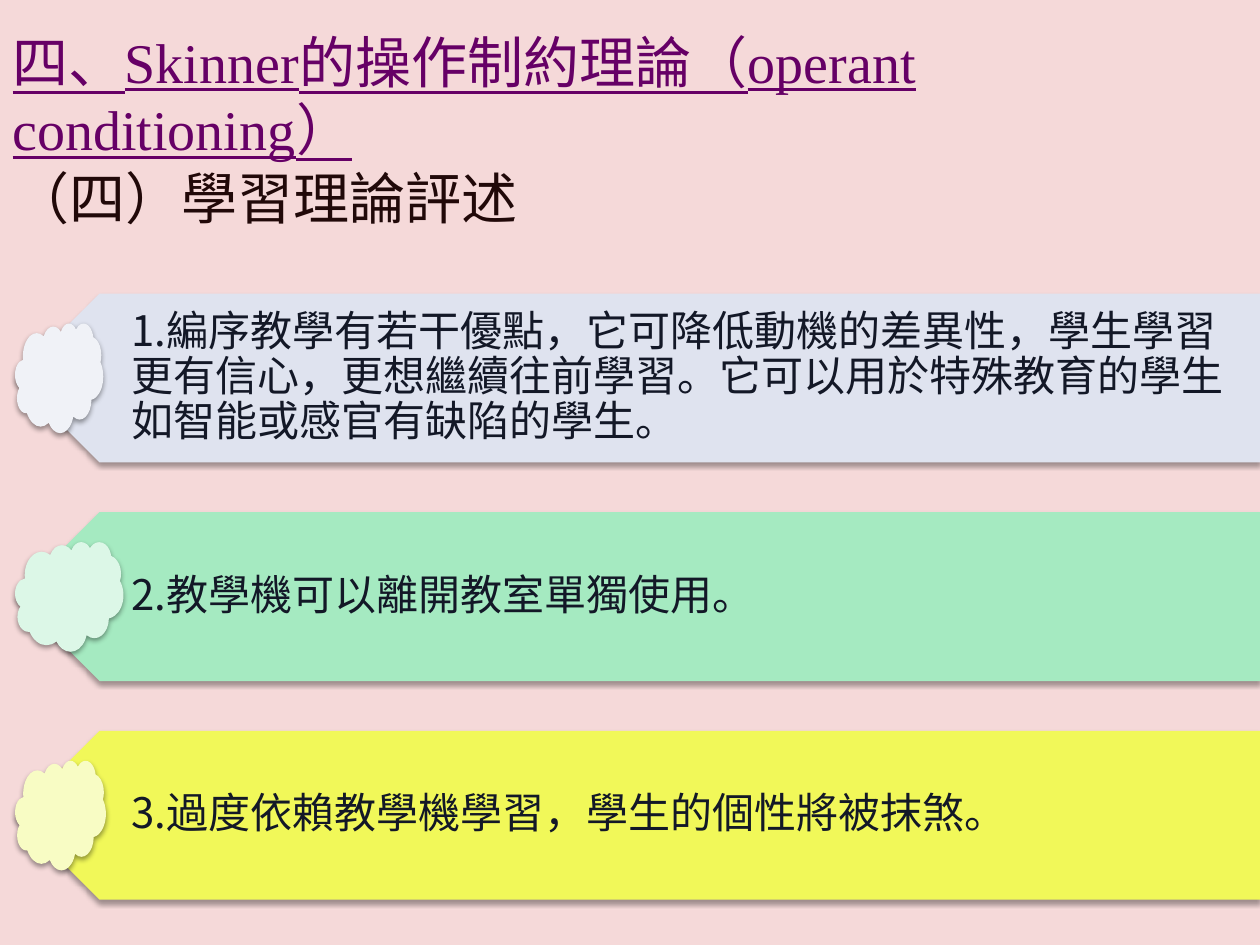
import dataclasses

import pptx
import pptx.dml.color
import pptx.enum.shapes
import pptx.enum.text
import pptx.oxml
import pptx.oxml.ns
import pptx.util
from pptx.util import Inches


@dataclasses.dataclass(frozen=True)
class Theme:
    background: str = "F5D9D9"
    title: str = "660066"
    subtitle: str = "210909"
    body: str = "131827"
    heading_size: int = 32
    body_size: int = 24
    chinese_font: str = "Noto Sans CJK SC"
    latin_font: str = "Times New Roman"


THEME = Theme()

TITLE_RUNS = [
    ("四、", THEME.chinese_font),
    ("Skinner", THEME.latin_font),
    ("的操作制約理論（", THEME.chinese_font),
    ("operant conditioning", THEME.latin_font),
    ("）", THEME.chinese_font),
]

# Text, band colour, cloud colour, cloud width
POINTS = [
    ("1.編序教學有若干優點，它可降低動機的差異性，學生學習更有信心，更想繼續往前學習。"
     "它可以用於特殊教育的學生如智能或感官有缺陷的學生。", "DFE3EF", "F0F2F7", 0.7),
    ("2.教學機可以離開教室單獨使用。", "A5EAC1", "DCF7E7", 0.86),
    ("3.過度依賴教學機學習，學生的個性將被抹煞。", "F1F859", "F8FCC4", 0.72),
]

BAND_LEFT, BAND_TOP = 0.12, 2.33
BAND_WIDTH, BAND_HEIGHT = 9.88, 1.34
BAND_PITCH = 1.735
CLOUD_HEIGHT = 0.87


def rgb(colour):
    return pptx.dml.color.RGBColor.from_string(colour)


def write_text(shape, runs, *, size, colour, underline=False, line_spacing=None,
               anchor=pptx.enum.text.MSO_ANCHOR.TOP, insets=(0.1, 0.05, 0.1, 0.05)):
    """Fill one paragraph with (text, font) runs."""
    frame = shape.text_frame
    frame.word_wrap = True
    frame.auto_size = pptx.enum.text.MSO_AUTO_SIZE.NONE
    frame.vertical_anchor = anchor
    (frame.margin_left, frame.margin_top,
     frame.margin_right, frame.margin_bottom) = map(Inches, insets)
    paragraph = frame.paragraphs[0]
    paragraph.alignment = pptx.enum.text.PP_ALIGN.LEFT
    paragraph.line_spacing = line_spacing
    for text, font_name in runs:
        run = paragraph.add_run()
        run.text = text
        run.font.name = font_name
        run.font.size = pptx.util.Pt(size)
        run.font.color.rgb = rgb(colour)
        run.font.underline = underline
        # East Asian characters take their own typeface
        latin = run.font._element.find(pptx.oxml.ns.qn("a:latin"))
        latin.addnext(pptx.oxml.parse_xml(
            f'<a:ea {pptx.oxml.ns.nsdecls("a")} typeface="{font_name}"/>'))


def add_text_box(slide, left, top, width, height, runs, **text_format):
    box = slide.shapes.add_textbox(*map(Inches, (left, top, width, height)))
    write_text(box, runs, **text_format)


def add_shadowed_shape(slide, kind, left, top, width, height, *, fill,
                       shadow_alpha, shadow_distance, rotation=0):
    shape = slide.shapes.add_shape(kind, *map(Inches, (left, top, width, height)))
    shape.rotation = rotation
    shape.fill.solid()
    shape.fill.fore_color.rgb = rgb(fill)
    shape.line.fill.background()
    shape.shadow.inherit = False
    effects = shape._element.spPr.find(pptx.oxml.ns.qn("a:effectLst"))
    blur, distance = pptx.util.Pt(3.1), pptx.util.Pt(shadow_distance)
    effects.append(pptx.oxml.parse_xml(
        f'<a:outerShdw {pptx.oxml.ns.nsdecls("a")} blurRad="{blur}" dist="{distance}" '
        f'dir="5400000" rotWithShape="0"><a:srgbClr val="000000">'
        f'<a:alpha val="{shadow_alpha * 1000}"/></a:srgbClr></a:outerShdw>'))


def add_headings(slide):
    title = slide.shapes.title
    title.left, title.top, title.width, title.height = map(Inches, (0, 0.17, 9.76, 0.64))
    write_text(title, TITLE_RUNS, size=THEME.heading_size, colour=THEME.title,
               underline=True)
    add_text_box(slide, 0.01, 1.25, 8.96, 0.64,
                 [("（四）學習理論評述", THEME.chinese_font)],
                 size=THEME.heading_size, colour=THEME.subtitle)


def add_point(slide, top, text, band_colour, cloud_colour, cloud_width):
    shapes = pptx.enum.shapes.MSO_SHAPE
    # Band pointing left
    add_shadowed_shape(slide, shapes.PENTAGON, BAND_LEFT, top, BAND_WIDTH, BAND_HEIGHT,
                       fill=band_colour, shadow_alpha=35, shadow_distance=1.8,
                       rotation=180)
    add_text_box(slide, 0.45, top, 9.55, BAND_HEIGHT, [(text, THEME.chinese_font)],
                 size=THEME.body_size, colour=THEME.body, line_spacing=0.9,
                 anchor=pptx.enum.text.MSO_ANCHOR.MIDDLE,
                 insets=(0.59, 0.1, 0.19, 0.1))
    # Cloud centred on the band's height
    add_shadowed_shape(slide, shapes.CLOUD, BAND_LEFT,
                       top + (BAND_HEIGHT - CLOUD_HEIGHT) / 2, cloud_width, CLOUD_HEIGHT,
                       fill=cloud_colour, shadow_alpha=38, shadow_distance=1.6)


def main():
    presentation = pptx.Presentation()
    presentation.slide_width = Inches(10)
    presentation.slide_height = Inches(7.5)
    title_only = presentation.slide_layouts[5]
    slide = presentation.slides.add_slide(title_only)
    slide.background.fill.solid()
    slide.background.fill.fore_color.rgb = rgb(THEME.background)

    add_headings(slide)
    for index, point in enumerate(POINTS):
        add_point(slide, BAND_TOP + index * BAND_PITCH, *point)

    presentation.save("out.pptx")


if __name__ == "__main__":
    main()
